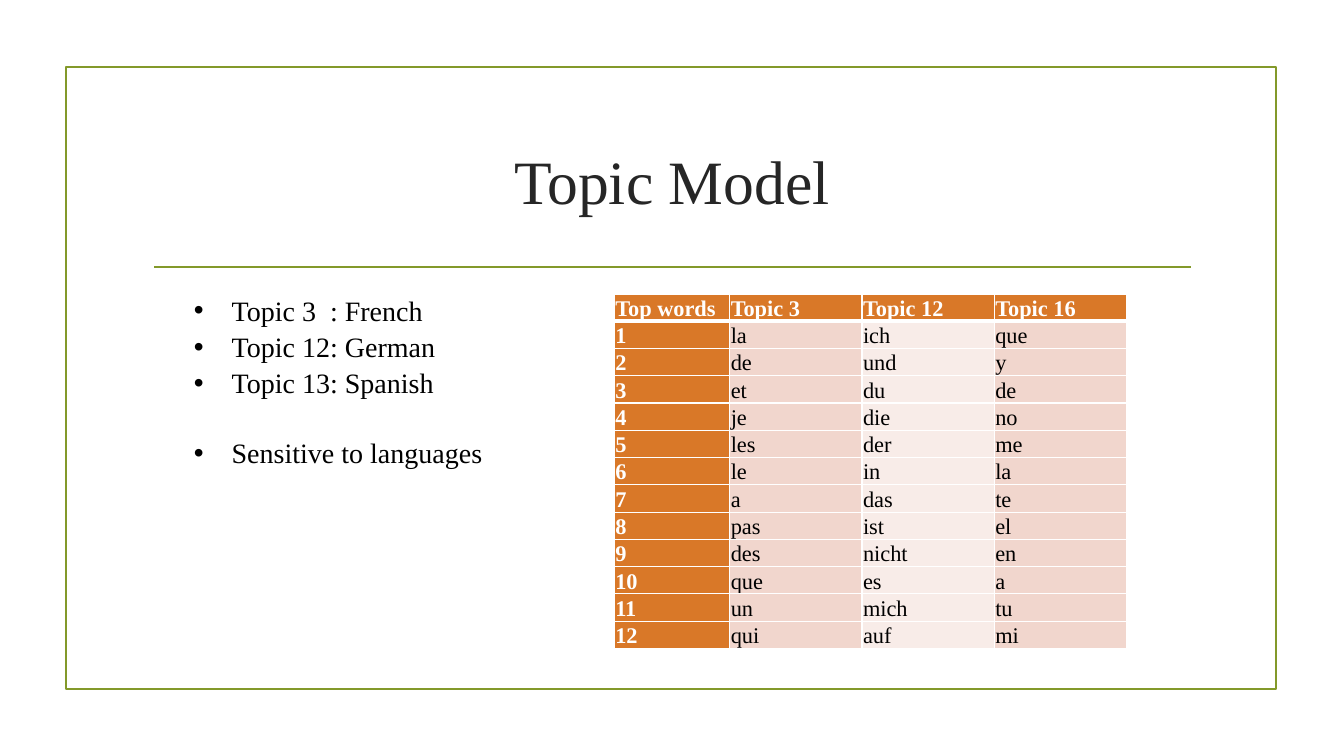
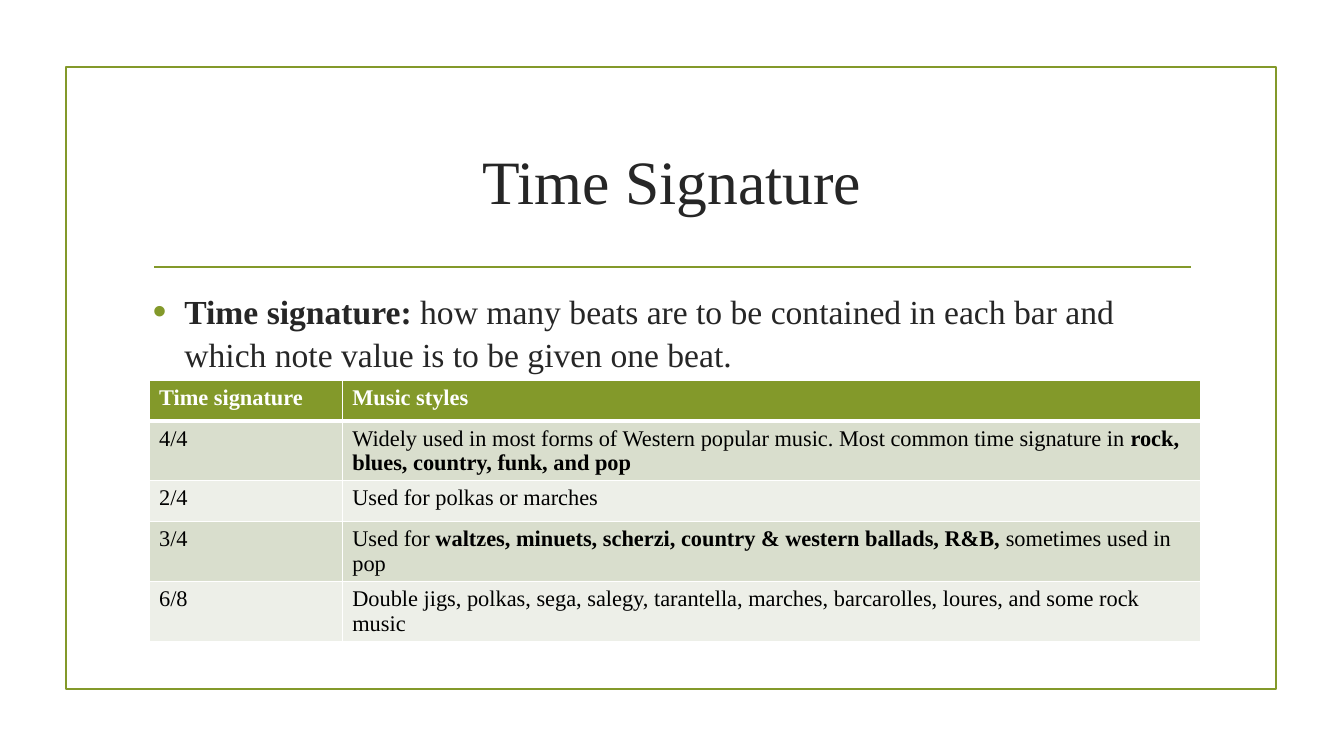
from lxml import etree
from pptx import Presentation
from pptx.dml.color import RGBColor
from pptx.enum.shapes import MSO_CONNECTOR, MSO_SHAPE
from pptx.enum.text import MSO_ANCHOR, MSO_AUTO_SIZE, PP_ALIGN
from pptx.oxml.ns import qn
from pptx.util import Emu, Pt

RECTANGLE = MSO_SHAPE.RECTANGLE
STRAIGHT = MSO_CONNECTOR.STRAIGHT
TOP, MIDDLE, BOTTOM = MSO_ANCHOR.TOP, MSO_ANCHOR.MIDDLE, MSO_ANCHOR.BOTTOM
CENTER, LEFT = PP_ALIGN.CENTER, PP_ALIGN.LEFT
NO_AUTOFIT = MSO_AUTO_SIZE.NONE
TITLE_AND_CONTENT = 1

FONT = "Times New Roman"
GREEN, ORANGE = "83992A", "D97828"
INK, BLACK, WHITE = "262626", "000000", "FFFFFF"
GREEN_BANDS = ("D9DECD", "EDEFE8")
ORANGE_BANDS = ("F1D6CD", "F8ECE8")

TOPIC_WORDS = {
    "Topic 3": "la de et je les le a pas des que un qui".split(),
    "Topic 12": "ich und du die der in das ist nicht es mich auf".split(),
    "Topic 16": "que y de no me la te el en a tu mi".split(),
}
TIME_SIGNATURES = [
    ["Time signature", "Music styles"],
    ["4/4", "Widely used in most forms of Western popular music. Most common time "
            "signature in **rock, blues, country, funk, and pop"],
    ["2/4", "Used for polkas or marches"],
    ["3/4", "Used for **waltzes, minuets, scherzi, country & western ballads, R&B, "
            "**sometimes used in pop"],
    ["6/8", "Double jigs, polkas, sega, salegy, tarantella, marches, barcarolles, "
            "loures, and some rock music"],
]


def px(length):
    return Emu(length * 9525)


def color(value):
    return RGBColor.from_string(value)


class SlideBuilder:
    def __init__(self):
        self.deck = Presentation()
        self.deck.slide_width, self.deck.slide_height = px(1280), px(720)
        self.slide = None

    def add_slide(self, title):
        layout = self.deck.slide_layouts[TITLE_AND_CONTENT]
        self.slide = self.deck.slides.add_slide(layout)
        self.frame()
        self.rule()
        box = self.slide.shapes.title
        frame = self.place(box, 136, 103, 1008, 137, MIDDLE)
        self.add_text(frame.paragraphs[0], title, 44, INK)
        frame.paragraphs[0].alignment = CENTER

    def frame(self):
        box = self.slide.shapes.add_shape(RECTANGLE, px(63), px(64), px(1152), px(592))
        box.shadow.inherit = False
        box.fill.background()
        self.outline(box)

    def rule(self):
        line = self.slide.shapes.add_connector(STRAIGHT, px(147), px(254), px(1134), px(254))
        etree.SubElement(line._element.spPr, qn("a:effectLst"))
        self.outline(line)

    def outline(self, shape):
        shape.line.color.rgb = color(GREEN)
        shape.line.width = Pt(1.25)

    def place(self, box, left, top, width, height, anchor):
        box.left, box.top, box.width, box.height = map(px, (left, top, width, height))
        frame = box.text_frame
        frame.word_wrap = True
        frame.auto_size = NO_AUTOFIT
        frame.vertical_anchor = anchor
        return frame

    def add_text(self, para, text, size, ink, bold=False):
        for index, piece in enumerate(text.split("**")):
            if piece:
                span = para.add_run()
                span.text = piece
                span.font.name = FONT
                span.font.size = Pt(size)
                span.font.bold = bold or index % 2 == 1
                span.font.color.rgb = color(ink)

    def bullet_list(self, area, items, size, ink, bullet, indent, scale=100):
        frame = self.place(self.slide.placeholders[1], *area, TOP)
        for index, (text, before) in enumerate(items):
            para = frame.add_paragraph() if index else frame.paragraphs[0]
            self.add_text(para, text, size, ink)
            para.alignment = LEFT
            para.line_spacing = 1.08
            para.space_before = Pt(before)
            para.space_after = Pt(0)
            self.bullet(para, bullet, indent, scale)

    def bullet(self, para, ink, indent, scale):
        properties = para._p.get_or_add_pPr()
        properties.set("marL", str(px(indent)))
        properties.set("indent", str(-px(indent)))
        tint = etree.SubElement(properties, qn("a:buClr"))
        etree.SubElement(tint, qn("a:srgbClr"), val=ink)
        etree.SubElement(properties, qn("a:buSzPct"), val=str(scale * 1000))
        etree.SubElement(properties, qn("a:buFont"), typeface="Arial")
        etree.SubElement(properties, qn("a:buChar"), char="•")

    def table(self, left, top, widths, heights, rows, style_cell):
        graphic = self.slide.shapes.add_table(
            len(rows), len(widths), px(left), px(top), px(sum(widths)), px(sum(heights)))
        table = graphic.table
        table.horz_banding = False
        for column, width in zip(table.columns, widths):
            column.width = px(width)
        for row_index, (row, height) in enumerate(zip(rows, heights)):
            table.rows[row_index].height = px(height)
            for column_index, text in enumerate(row):
                cell = table.cell(row_index, column_index)
                self.borders(cell, row_index)
                fill, heading = style_cell(cell, row_index, column_index)
                cell.fill.solid()
                cell.fill.fore_color.rgb = color(fill)
                ink = WHITE if heading else BLACK
                self.add_text(cell.text_frame.paragraphs[0], text, 16, ink, heading)

    def borders(self, cell, row_index):
        properties = cell._tc.get_or_add_tcPr()
        thick = {0: "lnB", 1: "lnT"}.get(row_index)
        for side in ("lnL", "lnR", "lnT", "lnB"):
            width = Pt(3 if side == thick else 1)
            line = etree.SubElement(properties, qn("a:" + side), w=str(width))
            fill = etree.SubElement(line, qn("a:solidFill"))
            etree.SubElement(fill, qn("a:srgbClr"), val=WHITE)


def style_topic_cell(cell, row_index, column_index):
    cell.margin_left = cell.margin_right = cell.margin_top = px(1)
    cell.margin_bottom = 0
    cell.vertical_anchor = BOTTOM
    heading = row_index == 0 or column_index == 0
    return (ORANGE if heading else ORANGE_BANDS[(column_index - 1) % 2]), heading


def style_signature_cell(cell, row_index, column_index):
    heading = row_index == 0
    return (GREEN if heading else GREEN_BANDS[(row_index - 1) % 2]), heading


def topic_model(builder):
    builder.add_slide("Topic Model")
    items = [("Topic 3  : French", 0), ("Topic 12: German", 0),
             ("Topic 13: Spanish", 0), ("Sensitive to languages", 24)]
    builder.bullet_list((175, 272, 415, 171), items, 20, BLACK, BLACK, 36)
    rows = [["Top words", *TOPIC_WORDS]]
    for rank, words in enumerate(zip(*TOPIC_WORDS.values()), 1):
        rows.append([str(rank), *words])
    builder.table(585, 280, [110, 126, 126, 126], [26] * len(rows), rows, style_topic_cell)


def time_signature(builder):
    builder.add_slide("Time Signature")
    definition = ("**Time signature: **how many beats are to be contained in each bar "
                  "and which note value is to be given one beat.")
    builder.bullet_list((136, 269, 1008, 94), [(definition, 0)], 24, INK, GREEN, 30, 115)
    builder.table(142, 362, [184, 817], [39, 57, 39, 57, 57],
                  TIME_SIGNATURES, style_signature_cell)


def main():
    builder = SlideBuilder()
    topic_model(builder)
    time_signature(builder)
    builder.deck.save("out.pptx")


if __name__ == "__main__":
    main()
